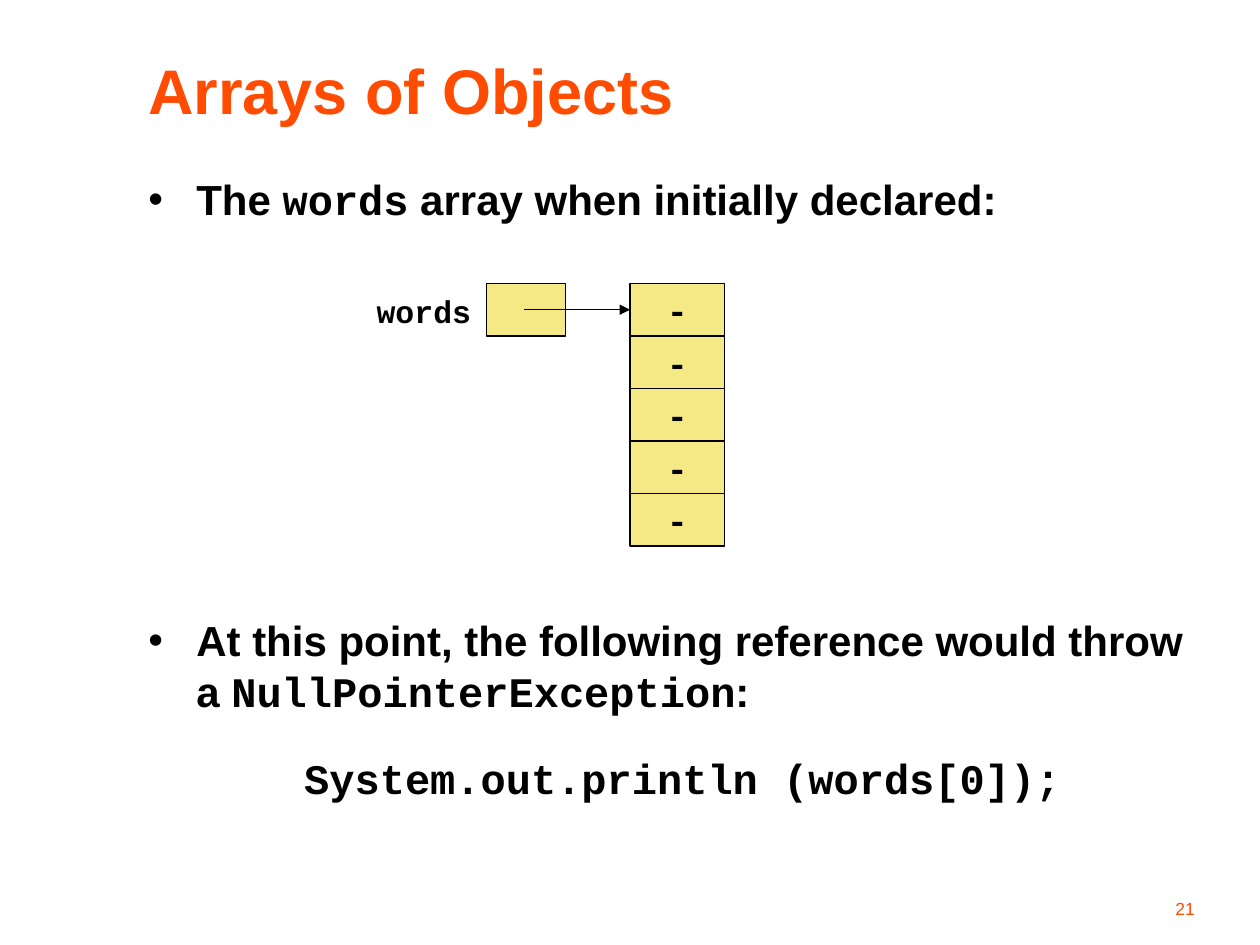
from dataclasses import dataclass

from lxml.etree import SubElement
from pptx import Presentation
from pptx.dml.color import RGBColor
from pptx.enum.shapes import MSO_CONNECTOR, MSO_SHAPE
from pptx.enum.text import MSO_ANCHOR, PP_ALIGN
from pptx.oxml.ns import qn
from pptx.util import Inches, Pt

SANS = "Arial"
MONO = "Courier New"
ORANGE = "FF4C00"
BLACK = "000000"
YELLOW = "F5E985"
CELL_HEIGHT = 1.25 / 3
ARRAY_SIZE = 5


@dataclass
class Box:
    left: float
    top: float
    width: float
    height: float

    def lengths(self) -> list:
        return [Inches(v) for v in (self.left, self.top, self.width, self.height)]


@dataclass
class Style:
    size: float
    font: str = SANS
    color: str = BLACK
    bold: bool = True


def rgb(color: str) -> RGBColor:
    return RGBColor.from_string(color)


def format_run(run, style: Style) -> None:
    run.font.size = Pt(style.size)
    run.font.name = style.font
    run.font.bold = style.bold
    run.font.color.rgb = rgb(style.color)


def add_label(slide, box: Box, text: str, style: Style, align=PP_ALIGN.LEFT,
              anchor=MSO_ANCHOR.TOP, wrap: bool = True) -> None:
    frame = slide.shapes.add_textbox(*box.lengths()).text_frame
    frame.word_wrap = wrap
    frame.vertical_anchor = anchor
    frame.text = text
    frame.paragraphs[0].alignment = align
    format_run(frame.paragraphs[0].runs[0], style)


def add_body(slide, box: Box):
    frame = slide.shapes.add_textbox(*box.lengths()).text_frame
    frame.word_wrap = True
    return frame


def fill_paragraph(paragraph, parts: list[tuple[str, str]], space: float,
                   bullet: bool = True) -> None:
    for text, font in parts:
        run = paragraph.add_run()
        run.text = text
        format_run(run, Style(24, font))
    paragraph.space_before = Pt(space)
    properties = paragraph._p.get_or_add_pPr()
    properties.set("marL", str(Inches(0.38)))
    properties.set("indent", str(Inches(-0.38)))
    if bullet:
        color = SubElement(properties, qn("a:buClr"))
        SubElement(color, qn("a:srgbClr"), val=BLACK)
        SubElement(properties, qn("a:buFont"), typeface=SANS)
        SubElement(properties, qn("a:buChar"), char="•")
    else:
        SubElement(properties, qn("a:buNone"))


def add_cell(slide, box: Box, text: str = ""):
    cell = slide.shapes.add_shape(MSO_SHAPE.RECTANGLE, *box.lengths())
    cell.shadow.inherit = False
    cell.fill.solid()
    cell.fill.fore_color.rgb = rgb(YELLOW)
    cell.line.color.rgb = rgb(BLACK)
    cell.line.width = Pt(0.75)
    if text:
        frame = cell.text_frame
        frame.word_wrap = False
        frame.vertical_anchor = MSO_ANCHOR.MIDDLE
        frame.text = text
        frame.paragraphs[0].alignment = PP_ALIGN.CENTER
        format_run(frame.paragraphs[0].runs[0], Style(20, MONO))
    return cell


def add_reference(slide, left: float, middle: float, target) -> None:
    arrow = slide.shapes.add_connector(
        MSO_CONNECTOR.STRAIGHT, Inches(left), Inches(middle), target.left, Inches(middle))
    arrow.end_connect(target, 1)
    arrow.line.color.rgb = rgb(BLACK)
    arrow.line.width = Pt(0.75)
    SubElement(arrow.line._get_or_add_ln(), qn("a:tailEnd"), type="triangle")
    SubElement(arrow._element.spPr, qn("a:effectLst"))


def add_array_diagram(slide) -> None:
    top = 2.25
    add_cell(slide, Box(3.86, top, 0.63, CELL_HEIGHT))
    add_label(slide, Box(2.89, 2.27, 0.95, 0.4), "words", Style(18, MONO), wrap=False)
    elements = [add_cell(slide, Box(5, top + i * CELL_HEIGHT, 0.75, CELL_HEIGHT), "-")
                for i in range(ARRAY_SIZE)]
    add_reference(slide, 4.16, top + CELL_HEIGHT / 2, elements[0])


def main() -> None:
    presentation = Presentation()
    presentation.slide_width = Inches(10)
    presentation.slide_height = Inches(7.5)
    slide = presentation.slides.add_slide(presentation.slide_layouts[6])

    add_label(slide, Box(1.08, 0.33, 8.67, 0.75), "Arrays of Objects",
              Style(36, color=ORANGE), anchor=MSO_ANCHOR.MIDDLE)

    declaration = add_body(slide, Box(1.08, 1.33, 8.67, 0.67))
    fill_paragraph(declaration.paragraphs[0], [
        ("The ", SANS), ("words", MONO), (" array when initially declared:", SANS)], 6)

    add_array_diagram(slide)

    exception = add_body(slide, Box(1.08, 4.83, 8.67, 1.83))
    fill_paragraph(exception.paragraphs[0], [
        ("At this point, the following reference would throw a ", SANS),
        ("NullPointerException", MONO), (":", SANS)], 21)
    statement = exception.add_paragraph()
    statement.alignment = PP_ALIGN.CENTER
    fill_paragraph(statement, [("System.out.println (words[0]);", MONO)], 21, bullet=False)

    add_label(slide, Box(7.5, 6.92, 2.08, 0.42), "21", Style(10, color=ORANGE, bold=False),
              PP_ALIGN.RIGHT, MSO_ANCHOR.BOTTOM)
    presentation.save("out.pptx")


if __name__ == "__main__":
    main()
